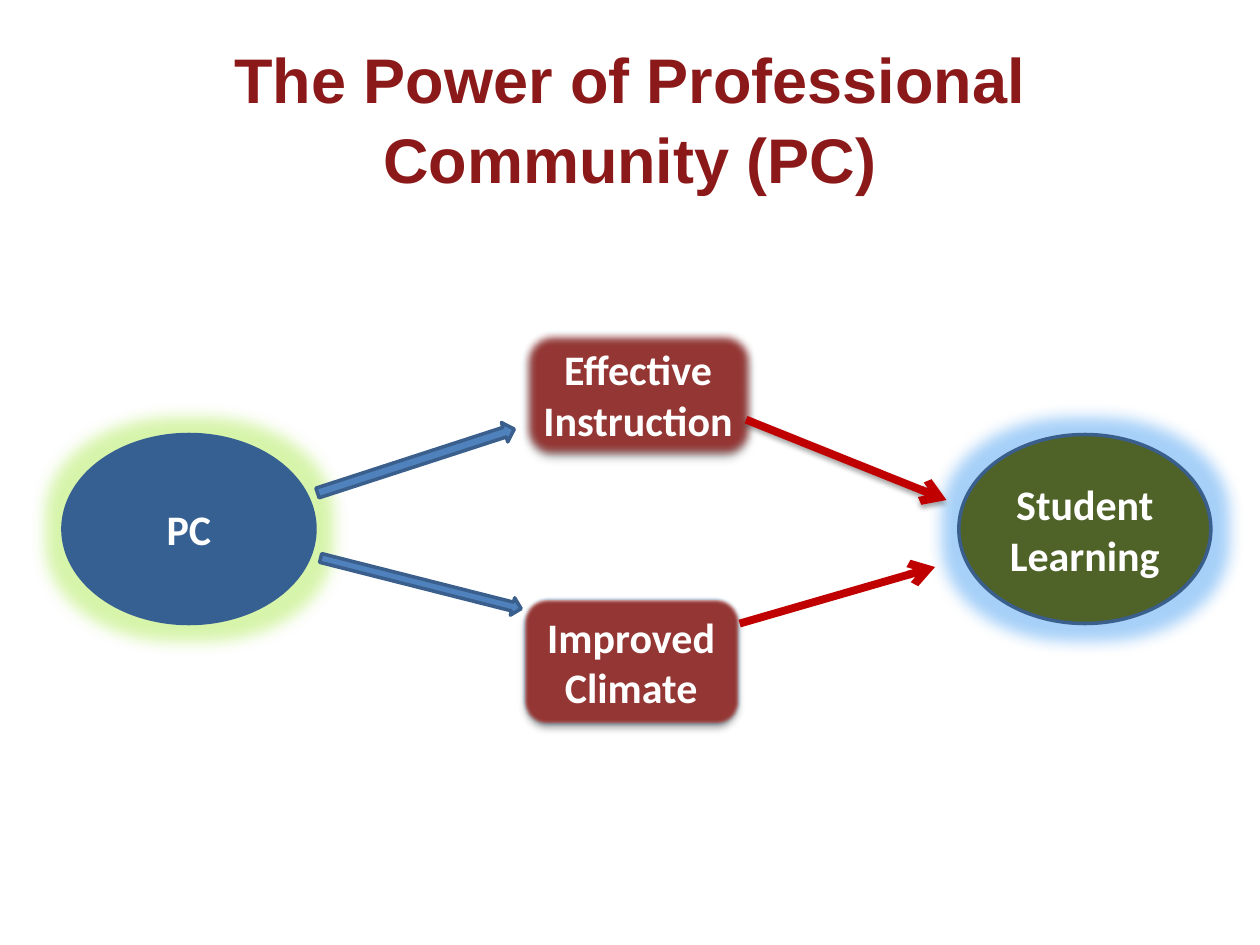
from lxml import etree
from pptx import Presentation, util as u
from pptx.dml.color import RGBColor
from pptx.enum import shapes, text
from pptx.oxml.ns import qn

OUTLINE, MAROON, RED = "3A5F8C", "953735", "C00000"


def rgb(value):
    return RGBColor.from_string(value)


class Diagram:
    """Draws styled diagram parts on the current slide."""

    def __init__(self, slide, font="Calibri", size=24):
        self.slide, self.font, self.size = slide, font, size

    def label(self, frame, words, color="FFFFFF", font=None, size=None):
        frame.text = words
        frame.word_wrap = True
        frame.vertical_anchor = text.MSO_ANCHOR.MIDDLE
        paragraph = frame.paragraphs[0]
        paragraph.alignment = text.PP_ALIGN.CENTER
        for run in paragraph.runs:
            run.font.name = font or self.font
            run.font.size = u.Pt(size or self.size)
            run.font.bold = True
            run.font.color.rgb = rgb(color)
        return paragraph

    def title(self, words, left, top, width, height):
        box = self.slide.shapes.add_textbox(*map(u.Cm, (left, top, width, height)))
        self.label(box.text_frame, words, "8C1919", "Arial", 36).line_spacing = 1.05

    def effect(self, effects, kind, color, alpha, **sizes):
        node = etree.SubElement(effects, qn(f"a:{kind}"))
        for name, value in sizes.items():
            node.set(name, str(int(value)))
        tint = etree.SubElement(node, qn("a:srgbClr"), val=color)
        etree.SubElement(tint, qn("a:alpha"), val=str(alpha * 1000))

    def shadow(self, effects, alpha, blur, distance):
        self.effect(effects, "outerShdw", "000000", alpha, blurRad=u.Pt(blur),
                    dist=u.Pt(distance), dir=5400000, rotWithShape=0)

    def shape(self, kind, left, top, width, height, fill, line=OUTLINE):
        part = self.slide.shapes.add_shape(kind, *map(u.Cm, (left, top, width, height)))
        part.shadow.inherit = False
        part.fill.solid()
        part.fill.fore_color.rgb = rgb(fill)
        part.line.color.rgb = rgb(line)
        part.line.width = u.Pt(2)
        return part

    def oval(self, words, left, fill, line, glow):
        part = self.shape(shapes.MSO_SHAPE.OVAL, left, 8.76, 5.08, 3.81, fill, line)
        self.label(part.text_frame, words)
        effects = part._element.spPr.find(qn("a:effectLst"))
        self.effect(effects, "glow", glow, 40, rad=u.Pt(18))

    def box(self, words, top, width, soft):
        part = self.shape(shapes.MSO_SHAPE.ROUNDED_RECTANGLE, 10.54, top, width, 2.54, MAROON)
        self.label(part.text_frame, words)
        effects = part._element.spPr.find(qn("a:effectLst"))
        self.shadow(effects, 40, 4, 3)
        etree.SubElement(effects, qn("a:softEdge"), rad=str(int(u.Pt(soft))))

    def block_arrow(self, left, top, height, angle):
        arrow = self.shape(shapes.MSO_SHAPE.RIGHT_ARROW, left, top, 4.17, height, "4F81BD")
        arrow.rotation = angle

    def line_arrow(self, start, end, shadowed=False):
        arrow = self.slide.shapes.add_connector(
            shapes.MSO_CONNECTOR.STRAIGHT, *map(u.Cm, (*start, *end)))
        arrow.line.color.rgb = rgb(RED)
        arrow.line.width = u.Pt(4.5)
        properties = arrow._element.spPr
        etree.SubElement(properties.find(qn("a:ln")), qn("a:tailEnd"), type="arrow")
        effects = etree.SubElement(properties, qn("a:effectLst"))
        if shadowed:
            self.shadow(effects, 35, 3.1, 1.8)


def main():
    deck = Presentation()
    deck.slide_width, deck.slide_height = u.Cm(25.4), u.Cm(19.05)
    diagram = Diagram(deck.slides.add_slide(deck.slide_layouts[6]))
    diagram.title("The Power of Professional Community (PC)", 1.27, 0.76, 22.86, 3.18)
    diagram.oval("PC", 1.27, "376092", "376092", "9BE52D")
    diagram.box("Effective Instruction", 6.68, 4.65, 5)
    diagram.box("Improved Climate", 12.07, 4.37, 2.5)
    diagram.oval("Student Learning", 19.33, "4F6228", OUTLINE, "228BEF")
    diagram.block_arrow(6.3, 9.09, 0.41, 342)
    diagram.block_arrow(6.4, 11.58, 0.36, 14.2)
    diagram.line_arrow((15.04, 8.46), (19.08, 10.08), shadowed=True)
    diagram.line_arrow((14.91, 12.57), (18.85, 11.43))
    deck.save("out.pptx")


if __name__ == "__main__":
    main()
